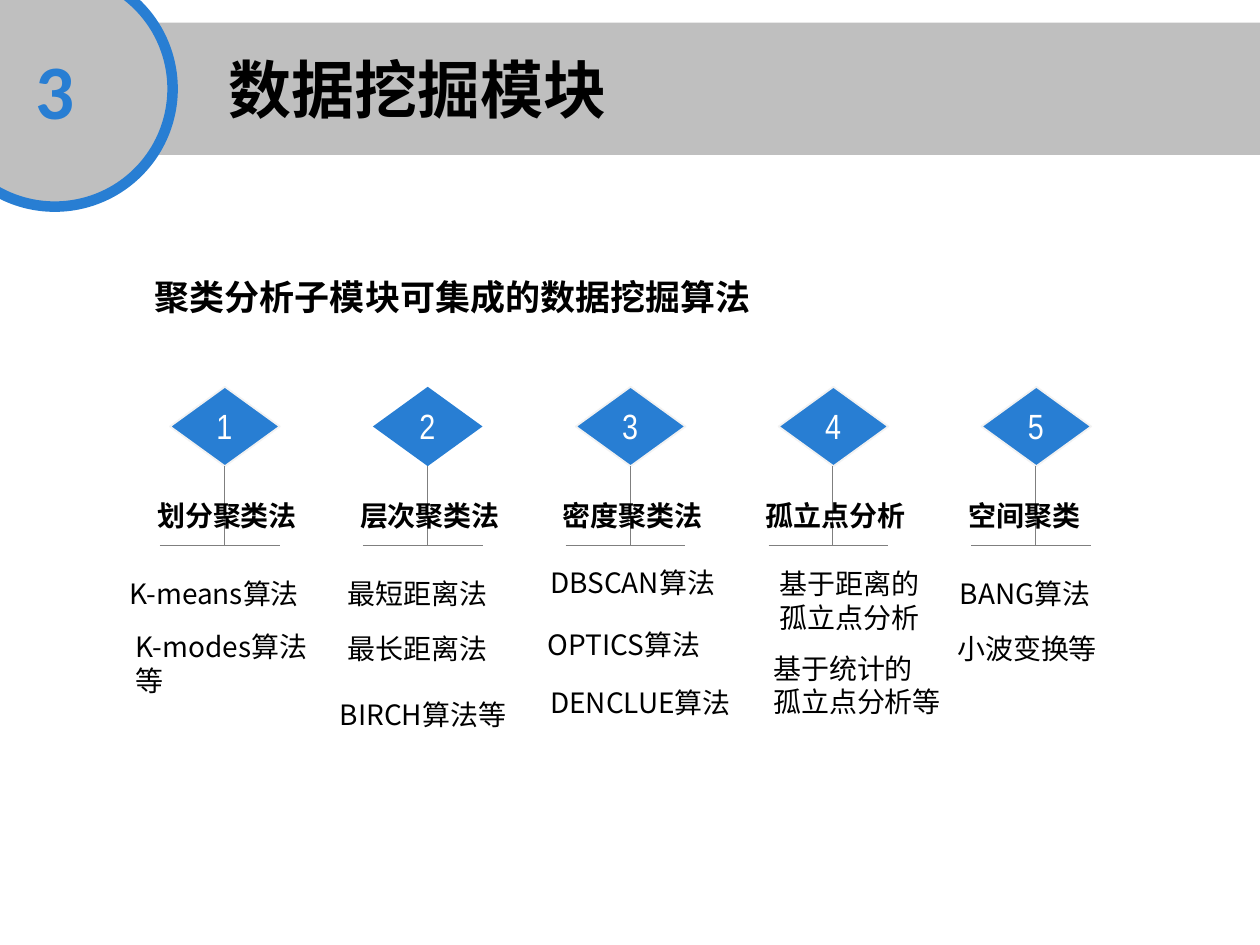
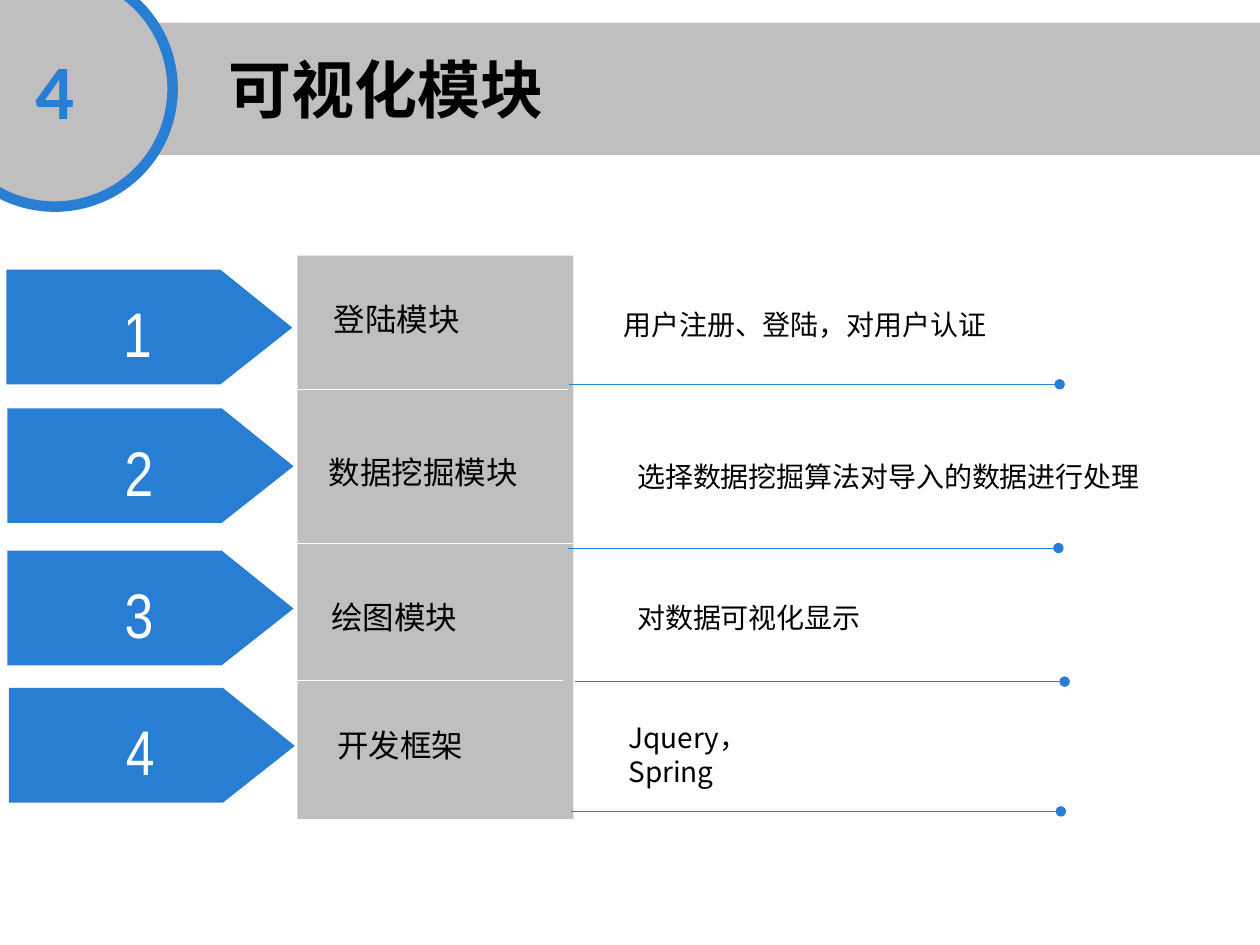
"""Build two slides on the data mining and visualisation modules."""
from lxml import etree
from pptx import Presentation
from pptx.dml.color import RGBColor
from pptx.enum import shapes as kinds, text as styles
from pptx.oxml import ns
from pptx.util import Inches, Pt

BLUE = RGBColor(0x28, 0x7E, 0xD3)
GRAY = RGBColor(0xBF, 0xBF, 0xBF)
PALE = RGBColor(0xF2, 0xF2, 0xF2)
STEM = RGBColor(0x7F, 0x7F, 0x7F)
WHITE = RGBColor(0xFF, 0xFF, 0xFF)
BLACK = RGBColor(0, 0, 0)
CJK = "Noto Sans CJK SC"

COLUMN_PITCH = 1.61
COLUMNS = [
    ("划分聚类法", [(-0.85, 1.46, "K-means算法"), (-0.8, 1.88, "K-modes算法\n等")]),
    ("层次聚类法", [(-0.73, 1.46, "最短距离法"), (-0.73, 1.89, "最长距离法"),
               (-0.79, 2.42, "BIRCH算法等")]),
    ("密度聚类法", [(-0.73, 1.37, "DBSCAN算法"), (-0.75, 1.86, "OPTICS算法"),
               (-0.73, 2.32, "DENCLUE算法")]),
    ("孤立点分析", [(-0.52, 1.38, "基于距离的\n孤立点分析"),
               (-0.57, 2.05, "基于统计的\n孤立点分析等")]),
    ("空间聚类", [(-0.7, 1.46, "BANG算法"), (-0.72, 1.89, "小波变换等")]),
]
ARROWS = [(0.05, 2.14), (0.06, 3.24), (0.06, 4.37), (0.07, 5.46)]
LABELS = [(2.55, 2.33, "登陆模块"), (2.51, 3.55, "数据挖掘模块"),
          (2.53, 4.7, "绘图模块"), (2.58, 5.71, "开发框架")]
DETAILS = [(4.85, 2.39, "用户注册、登陆，对用户认证"),
           (4.96, 3.6, "选择数据挖掘算法对导入的数据进行处理"),
           (4.96, 4.72, "对数据可视化显示"), (4.89, 5.67, "Jquery，\nSpring")]
SEPARATORS = [(2.32, 3.09), (2.36, 4.31), (2.28, 5.4)]
UNDERLINES = [(4.52, 3.05), (4.51, 4.35), (4.56, 5.41), (4.53, 6.44)]


def write(box, text, size=16, font=CJK, color=BLACK, bold=False,
          align=styles.PP_ALIGN.LEFT, anchor=styles.MSO_ANCHOR.TOP):
    """Fill a shape with formatted text, one paragraph for each line."""
    frame = box.text_frame
    frame.word_wrap = True
    frame.auto_size = styles.MSO_AUTO_SIZE.NONE
    frame.vertical_anchor = anchor
    frame.text = text
    for para in frame.paragraphs:
        para.alignment = align
        for span in para.runs:
            span.font.size, span.font.bold = Pt(size), bold
            span.font.name = font
            span.font.color.rgb = color
            east = etree.SubElement(span.font._element, ns.qn("a:ea"))
            east.set("typeface", CJK)


def add_text(page, left, top, text, width=2.0, height=0.4, **look):
    """Add a text box at the given place."""
    box = page.shapes.add_textbox(*map(Inches, (left, top, width, height)))
    write(box, text, **look)


def paint(shape, fill, outline=None, weight=1):
    """Give a shape a flat fill and an optional outline."""
    shape.shadow.inherit = False
    shape.fill.solid()
    shape.fill.fore_color.rgb = fill
    if outline is None:
        shape.line.fill.background()
    else:
        shape.line.color.rgb = outline
        shape.line.width = Pt(weight)
    return shape


def add_shape(page, kind, left, top, width, height, fill, **border):
    """Add a flat preset shape."""
    shape = page.shapes.add_shape(kind, *map(Inches, (left, top, width, height)))
    return paint(shape, fill, **border)


def add_line(page, left, top, width, height, color, dot=False):
    """Add a hairline, with a round end when dot is set."""
    ends = map(Inches, (left, top, left + width, top + height))
    line = page.shapes.add_connector(kinds.MSO_CONNECTOR.STRAIGHT, *ends)
    line.line.color.rgb = color
    line.line.width = Pt(0.5)
    if dot:
        etree.SubElement(line.line._get_or_add_ln(), ns.qn("a:tailEnd")).set("type", "oval")
    etree.SubElement(line.element.spPr, ns.qn("a:effectLst"))


def add_page(deck, number, heading):
    """Add a slide with the grey band, the numbered circle and the title."""
    page = deck.slides.add_slide(deck.slide_layouts[5])
    add_shape(page, kinds.MSO_SHAPE.RECTANGLE, 0.86, 0.18, 9.14, 1.05, GRAY)
    circle = add_shape(page, kinds.MSO_SHAPE.OVAL, -0.5, -0.23, 1.87, 1.87, GRAY,
                       outline=BLUE, weight=6)
    write(circle, str(number), size=44, font="Calibri", color=BLUE, bold=True,
          align=styles.PP_ALIGN.CENTER, anchor=styles.MSO_ANCHOR.MIDDLE)
    title = page.shapes.title
    title.left, title.top, title.width, title.height = map(Inches, (1.71, 0.35, 6.19, 0.7))
    write(title, heading, size=36, bold=True)
    page.shapes.element.append(title.element)
    return page


def add_column(page, center, top, number, heading, items):
    """Draw one method: numbered diamond, stem, heading and algorithms."""
    add_shape(page, kinds.MSO_SHAPE.DIAMOND, center - 0.43, top, 0.87, 0.63, BLUE,
              outline=None if number == 2 else PALE)
    add_text(page, center - 0.16, top + 0.09, str(number), width=0.4, height=0.44,
             size=20, font="Arial Narrow", color=WHITE)
    add_line(page, center, top + 0.63, 0, 0.63, STEM)
    add_line(page, center - 0.51, top + 1.26, 0.95, 0, STEM)
    add_text(page, center - 0.63, top + 0.84, heading, font="Calibri", bold=True)
    for shift, drop, text in items:
        add_text(page, center + shift, top + drop, text)


def add_arrow(page, left, top, number):
    """Draw a numbered block arrow that points right."""
    points = [(1.7, 0), (2.27, 0.46), (1.7, 0.91), (0, 0.91)]
    builder = page.shapes.build_freeform(Inches(left), Inches(top))
    builder.add_line_segments([(Inches(left + x), Inches(top + y)) for x, y in points])
    paint(builder.convert_to_shape(), BLUE)
    add_text(page, left + 0.83, top + 0.15, str(number), width=0.6, height=0.7,
             size=36, font="Arial Narrow", color=WHITE)


def add_clustering(deck):
    """Build the slide on clustering algorithms."""
    page = add_page(deck, 3, "数据挖掘模块")
    add_text(page, 1.13, 2.14, "聚类分析子模块可集成的数据挖掘算法", width=6,
             size=20, font="DejaVu Sans", bold=True)
    for index, (heading, items) in enumerate(COLUMNS):
        add_column(page, 1.78 + index * COLUMN_PITCH, 3.07, index + 1, heading, items)


def add_visualisation(deck):
    """Build the slide on the visualisation modules."""
    page = add_page(deck, 4, "可视化模块")
    add_shape(page, kinds.MSO_SHAPE.RECTANGLE, 2.36, 2.03, 2.19, 4.47, GRAY)
    for left, top in SEPARATORS:
        add_line(page, left, top, 2.19, 0, WHITE)
    for left, top in UNDERLINES:
        add_line(page, left, top, 3.89, 0, BLUE, dot=True)
    for number, (left, top) in enumerate(ARROWS, 1):
        add_arrow(page, left, top, number)
    for left, top, text in LABELS:
        add_text(page, left, top, text, size=18, font="DejaVu Sans")
    for left, top, text in DETAILS:
        add_text(page, left, top, text, width=4.6)


def main():
    """Build and save the deck."""
    deck = Presentation()
    deck.slide_width, deck.slide_height = Inches(10), Inches(7.5)
    add_clustering(deck)
    add_visualisation(deck)
    deck.save("out.pptx")


if __name__ == "__main__":
    main()
